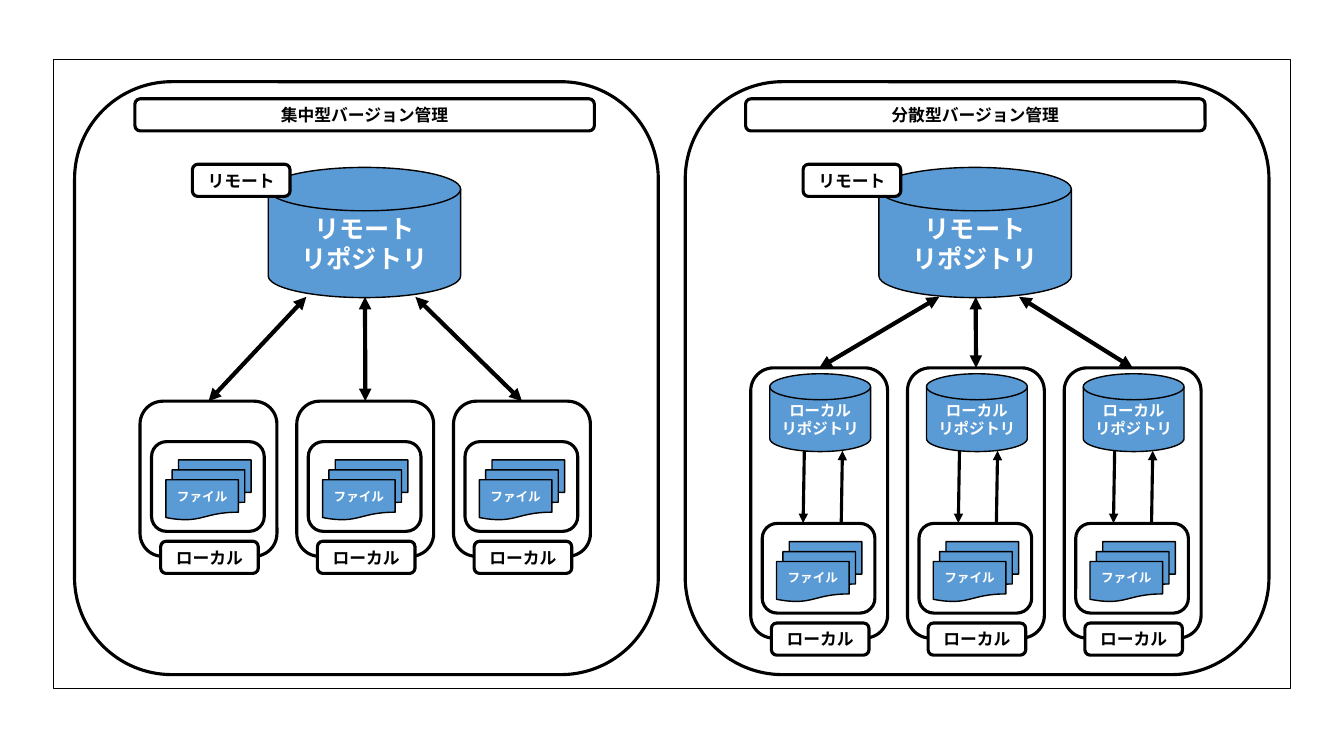
"""Build a slide comparing centralized and distributed version control."""
from lxml.etree import SubElement
from pptx import Presentation
from pptx.dml.color import RGBColor
from pptx.enum.shapes import MSO_CONNECTOR, MSO_SHAPE
from pptx.enum.text import MSO_ANCHOR, PP_ALIGN
from pptx.oxml.ns import qn
from pptx.util import Cm, Pt

FONT = "Noto Sans CJK JP"
BLACK = RGBColor(0, 0, 0)
WHITE = RGBColor(255, 255, 255)
BLUE = RGBColor(0x5B, 0x9B, 0xD5)

PANELS = [
    {"title": "集中型バージョン管理", "left": 1.88, "client_top": 10.11,
     "client_height": 3.91, "arrow_starts": [5.84, 7.32, 8.59], "local_repository": False},
    {"title": "分散型バージョン管理", "left": 17.27, "client_top": 9.27,
     "client_height": 6.81, "arrow_starts": [6.4, 7.32, 8.41], "local_repository": True},
]
REMOTE = "リモート"
LOCAL = "ローカル"
REPOSITORY = "リポジトリ"
FILE = "ファイル"

CLIENT_OFFSET, CLIENT_STEP, CLIENT_WIDTH = 1.65, 3.95, 3.45
TAG_WIDTH, TAG_HEIGHT = 2.46, 0.81
REMOTE_BOTTOM = 7.48
SYNC_STEP, SYNC_TOP, SYNC_BOTTOM, SYNC_TILT = 3.91, 11.36, 13.18, 0.03
DOWN_OFFSET, UP_OFFSET = 3.0, 3.93


def add_box(slide, kind, box, fill=None, weight=2.25, lines=(), size=12, color=BLACK):
    shape = slide.shapes.add_shape(kind, *(Cm(length) for length in box))
    shape.shadow.inherit = False
    if fill is None:
        shape.fill.background()
    else:
        shape.fill.solid()
        shape.fill.fore_color.rgb = fill
    shape.line.color.rgb = BLACK
    shape.line.width = Pt(weight)
    frame = shape.text_frame
    frame.vertical_anchor = MSO_ANCHOR.MIDDLE
    frame.margin_left = frame.margin_right = 0
    for index, line in enumerate(lines):
        paragraph = frame.add_paragraph() if index else frame.paragraphs[0]
        paragraph.text = line
        paragraph.alignment = PP_ALIGN.CENTER
        font = paragraph.font
        font.name, font.size, font.bold = FONT, Pt(size), True
        font.color.rgb = color
        properties = paragraph._p.pPr.find(qn("a:defRPr"))
        SubElement(properties, qn("a:ea"), typeface=FONT)


def add_tag(slide, left, top, text, width=TAG_WIDTH):
    add_box(slide, MSO_SHAPE.ROUNDED_RECTANGLE, (left, top, width, TAG_HEIGHT),
            WHITE, lines=[text])


def add_disk(slide, box, lines, size):
    add_box(slide, MSO_SHAPE.FLOWCHART_MAGNETIC_DISK, box, BLUE, 1, lines, size, WHITE)


def add_arrow(slide, start, end, weight, ends):
    points = (Cm(length) for length in (*start, *end))
    connector = slide.shapes.add_connector(MSO_CONNECTOR.STRAIGHT, *points)
    connector.line.color.rgb = BLACK
    connector.line.width = Pt(weight)
    properties = connector._element.spPr
    for end_name in ends:
        SubElement(properties.find(qn("a:ln")), qn(f"a:{end_name}"), type="triangle")
    SubElement(properties, qn("a:effectLst"))


def add_client(slide, left, top, height, local_repository):
    bottom = top + height
    add_box(slide, MSO_SHAPE.ROUNDED_RECTANGLE, (left, top, CLIENT_WIDTH, height))
    if local_repository:
        add_disk(slide, (left + 0.48, top + 0.15, 2.54, 1.96), [LOCAL, REPOSITORY], 11)
    for depth in (2, 1, 0):
        box = (left + 0.65 + 0.16 * depth, bottom - 1.93 - 0.25 * depth, 1.83, 1.02)
        add_box(slide, MSO_SHAPE.FLOWCHART_DOCUMENT, box, BLUE, 1,
                [] if depth else [FILE], 9, WHITE)
    add_box(slide, MSO_SHAPE.ROUNDED_RECTANGLE, (left + 0.29, bottom - 2.89, 2.84, 2.26))
    add_tag(slide, left + 0.52, bottom - 0.38, LOCAL)


def add_panel(slide, panel):
    left, client_top = panel["left"], panel["client_top"]
    add_box(slide, MSO_SHAPE.ROUNDED_RECTANGLE, (left, 2.06, 14.71, 14.94))
    add_tag(slide, left + 1.52, 2.49, panel["title"], 11.58)
    add_disk(slide, (left + 4.88, 4.22, 4.85, 3.28), [REMOTE, REPOSITORY], 18)
    add_tag(slide, left + 2.97, 4.14, REMOTE)
    for column, arrow_start in enumerate(panel["arrow_starts"]):
        client_left = left + CLIENT_OFFSET + column * CLIENT_STEP
        add_client(slide, client_left, client_top, panel["client_height"],
                   panel["local_repository"])
        add_arrow(slide, (left + arrow_start, REMOTE_BOTTOM),
                  (client_left + CLIENT_WIDTH / 2, client_top), 3, ["headEnd", "tailEnd"])
        if panel["local_repository"]:
            down = left + DOWN_OFFSET + column * SYNC_STEP
            up = left + UP_OFFSET + column * SYNC_STEP
            add_arrow(slide, (down, SYNC_TOP), (down - SYNC_TILT, SYNC_BOTTOM),
                      2.25, ["tailEnd"])
            add_arrow(slide, (up, SYNC_BOTTOM), (up + SYNC_TILT, SYNC_TOP),
                      2.25, ["tailEnd"])


def main():
    presentation = Presentation()
    presentation.slide_width, presentation.slide_height = Cm(33.87), Cm(19.05)
    slide = presentation.slides.add_slide(presentation.slide_layouts[6])
    add_box(slide, MSO_SHAPE.RECTANGLE, (1.35, 1.5, 31.17, 15.85), weight=1)
    for panel in PANELS:
        add_panel(slide, panel)
    presentation.save("out.pptx")


if __name__ == "__main__":
    main()
